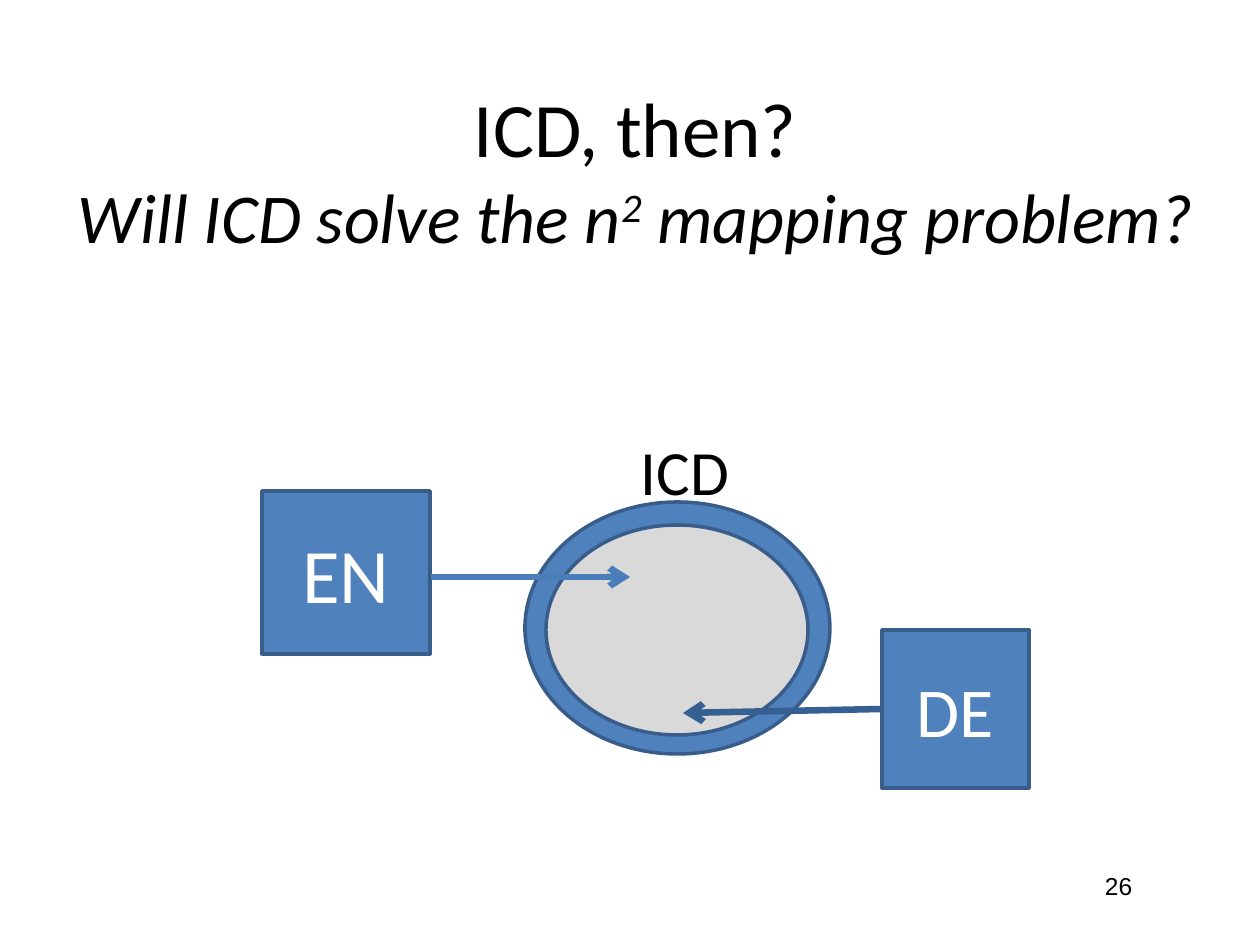
from lxml import etree
from pptx import Presentation
from pptx.dml.color import RGBColor
from pptx.enum.shapes import MSO_CONNECTOR as Line, MSO_SHAPE as Shape
from pptx.enum.text import MSO_ANCHOR as Anchor, MSO_AUTO_SIZE as Fit, PP_ALIGN as Align
from pptx.oxml.ns import qn
from pptx.util import Pt

SCALE = 914400 / 126
BLACK = RGBColor(0, 0, 0)
WHITE = RGBColor(255, 255, 255)
BLUE = RGBColor(0x4F, 0x81, 0xBD)
EDGE = RGBColor(0x38, 0x5D, 0x8A)
GREY = RGBColor(0xD9, 0xD9, 0xD9)
EN_LINE = RGBColor(0x4A, 0x7E, 0xBB)
DE_LINE = RGBColor(0x37, 0x60, 0x92)


def px(*vals):
    return [round(v * SCALE) for v in vals]


def style(font, size, color=BLACK, **more):
    values = {"name": "Calibri", "size": Pt(size), **more}
    for key, value in values.items():
        setattr(font, key, value)
    font.color.rgb = color


def set_frame(frame, inset=0):
    values = {"word_wrap": True, "auto_size": Fit.NONE,
              "vertical_anchor": Anchor.MIDDLE}
    for side in ("left", "right", "top", "bottom"):
        values[f"margin_{side}"] = inset
    for key, value in values.items():
        setattr(frame, key, value)


def add_title(slide):
    title = slide.shapes.title
    title.left, title.top, title.width, title.height = px(42, 90, 1187, 158)
    set_frame(title.text_frame)
    para = title.text_frame.paragraphs[0]
    para.alignment = Align.CENTER

    def add_run(text, size, **more):
        run = para.add_run()
        run.text = text
        style(run.font, size, **more)
        return run

    add_run("ICD, then?", 44)
    para.add_line_break()
    add_run("Will ICD solve the n", 40, italic=True)
    power = add_run("2", 40, italic=True)
    power.font._element.set("baseline", "30000")
    add_run(" mapping problem?", 40, italic=True)


def add_label(slide, text, box, size, align=Align.CENTER, **more):
    frame = slide.shapes.add_textbox(*px(*box)).text_frame
    set_frame(frame)
    para = frame.paragraphs[0]
    para.text = text
    para.alignment = align
    style(para.font, size, **more)


def add_node(slide, kind, box, fill=BLUE, text="", size=40):
    node = slide.shapes.add_shape(kind, *px(*box))
    node.shadow.inherit = False
    node.fill.solid()
    node.fill.fore_color.rgb = fill
    node.line.color.rgb = EDGE
    node.line.width = Pt(2)
    if text:
        set_frame(node.text_frame)
        para = node.text_frame.paragraphs[0]
        para.text = text
        para.alignment = Align.CENTER
        style(para.font, size, WHITE)
    return node


def add_arrow(slide, start, end, color):
    arrow = slide.shapes.add_connector(Line.STRAIGHT, *px(*start, *end))
    arrow.line.color.rgb = color
    arrow.line.width = Pt(3.75)
    etree.SubElement(arrow.line._get_or_add_ln(), qn("a:tailEnd"), type="arrow")
    etree.SubElement(arrow._element.spPr, qn("a:effectLst"))
    return arrow


def main():
    prs = Presentation()
    prs.slide_width, prs.slide_height = px(1260, 945)
    slide = prs.slides.add_slide(prs.slide_layouts[5])
    add_title(slide)
    add_label(slide, "ICD", (585, 431, 200, 78), 36)
    add_label(slide, "26", (1105, 861, 100, 50), 14, Align.LEFT, name="Arial")
    add_node(slide, Shape.OVAL, (525, 502, 305, 252))
    add_node(slide, Shape.OVAL, (546, 525, 262, 210), GREY)
    add_node(slide, Shape.RECTANGLE, (262, 491, 168, 163), text="EN", size=44)
    german = add_node(slide, Shape.RECTANGLE, (882, 630, 147, 158), text="DE")
    add_arrow(slide, (431, 577), (630, 577), EN_LINE)
    arrow = add_arrow(slide, (882, 709), (683, 713), DE_LINE)
    arrow.begin_connect(german, 1)
    prs.save("out.pptx")


if __name__ == "__main__":
    main()
